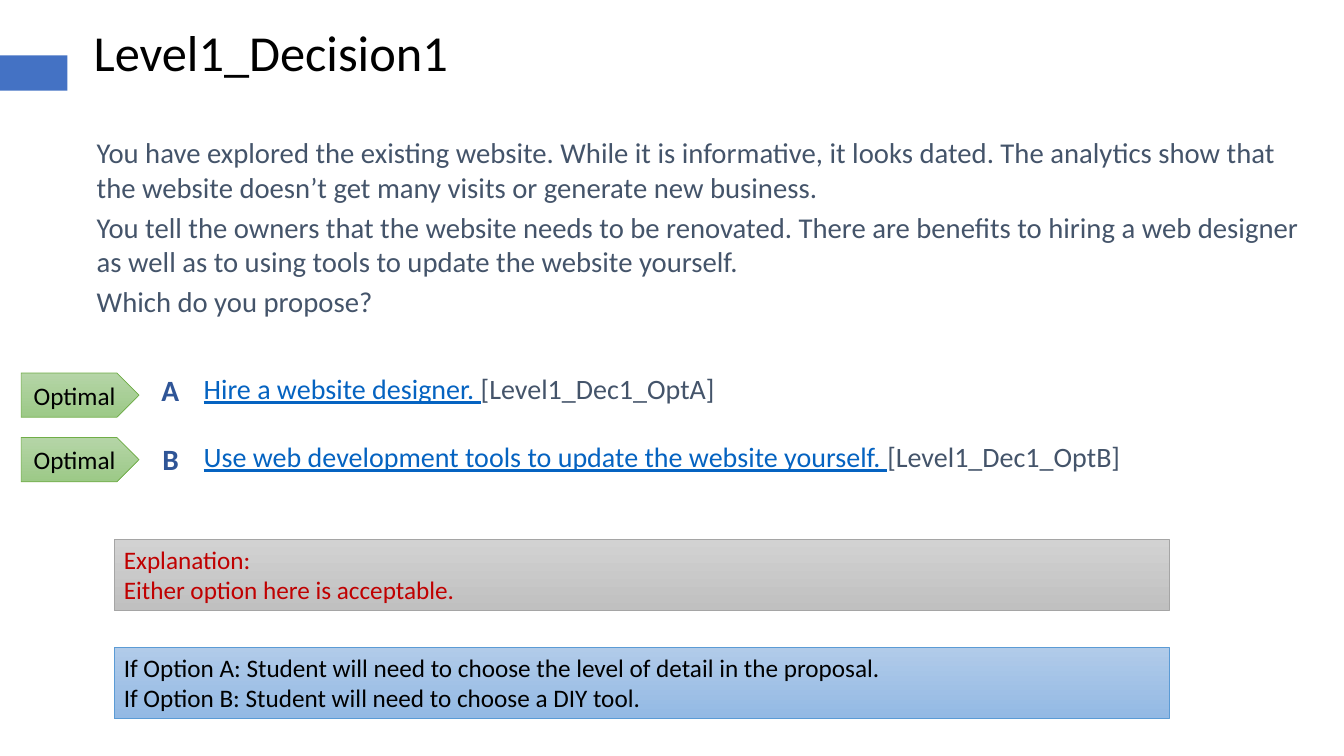
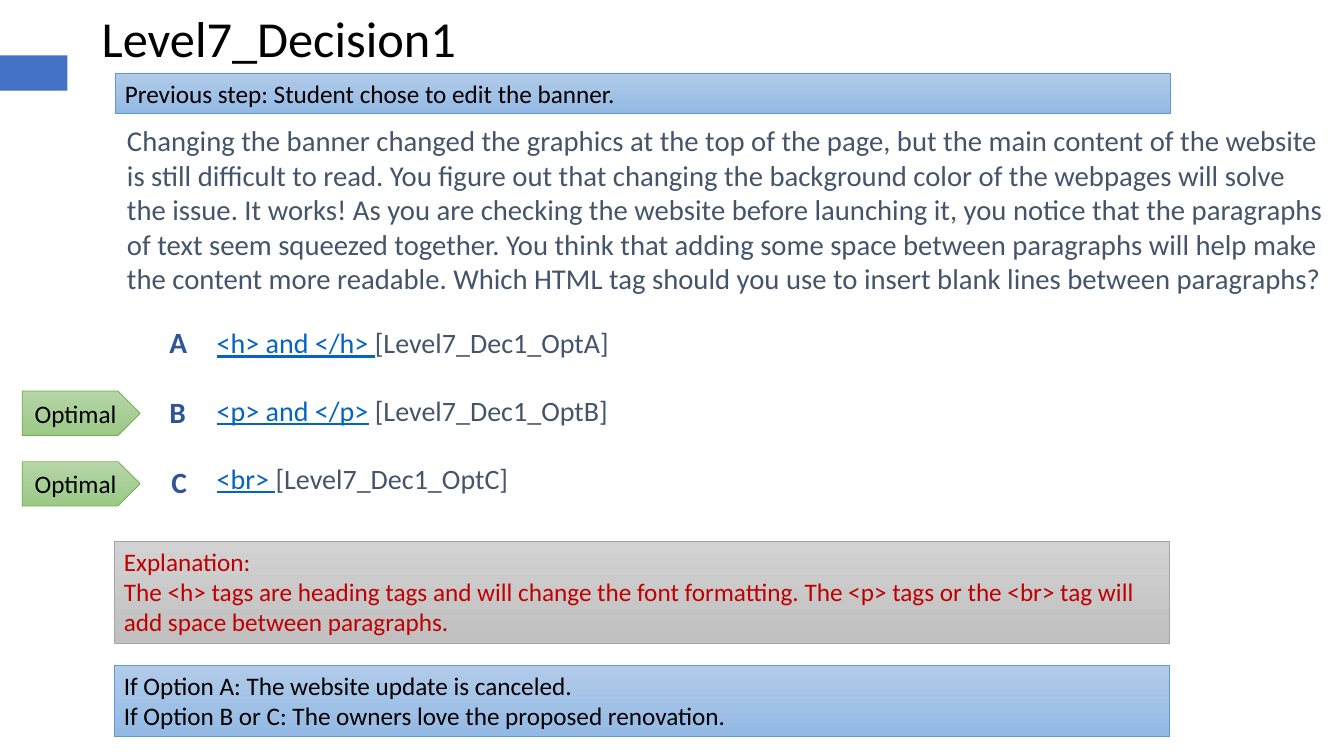
from dataclasses import dataclass
from typing import NamedTuple

from pptx import Presentation
from pptx.dml.color import RGBColor
from pptx.enum.shapes import MSO_SHAPE
from pptx.enum.text import MSO_ANCHOR, PP_ALIGN
from pptx.util import Emu, Pt

RECT, ARROW = MSO_SHAPE.RECTANGLE, MSO_SHAPE.PENTAGON
TOP, MIDDLE = MSO_ANCHOR.TOP, MSO_ANCHOR.MIDDLE
LEFT, CENTER = PP_ALIGN.LEFT, PP_ALIGN.CENTER

PX = 9144  # 100 px to the inch
FONT = "Calibri"
BLACK, RED, SLATE = "000000", "C00000", "44546A"
NAVY, LINK, BAND = "2F5597", "0563C1", "4472C4"
WIDE = (13, 7)
SLIM = (10, 5)
NOTE_W = 1047
STEP = 69


class Run(NamedTuple):
    text: str
    color: str = ""
    under: bool = False


class Style(NamedTuple):
    start: str
    end: str
    line: str


BLUE = Style("B1CBE9", "93B9E4", "5B9BD5")
GRAY = Style("D2D2D2", "C0C0C0", "A5A5A5")
GREEN = Style("B5D5A7", "9CC987", "70AD47")


class Box(NamedTuple):
    x: int
    y: int
    w: int
    h: int


@dataclass(frozen=True)
class Note:
    box: Box
    style: Style
    color: str
    lines: list[str]


@dataclass(frozen=True)
class Option:
    letter: str
    x: int
    link: str
    code: str
    tag: int | None = None  # top of the "Optimal" arrow


@dataclass(frozen=True)
class Page:
    title: str
    head: tuple[int, int]
    body: Box
    story: list[str]
    list_box: Box
    top: int
    tag_x: int
    options: list[Option]
    notes: list[Note]


PAGES = [
    Page(
        "Level1_Decision1", (83, 16), Box(83, 127, 1227, 225),
        [
            "You have explored the existing website. While it is informative, it looks dated. "
            "The analytics show that the website doesn’t get many visits or generate new business.",
            "You tell the owners that the website needs to be renovated. There are benefits to "
            "hiring a web designer as well as to using tools to update the website yourself.",
            "Which do you propose?",
        ],
        Box(189, 362, 1015, 127), 362, 21,
        [
            Option("A", 147, "Hire a website designer. ", "[Level1_Dec1_OptA]", 370),
            Option("B", 148, "Use web development tools to update the website yourself. ",
                   "[Level1_Dec1_OptB]", 434),
        ],
        [
            Note(Box(113, 642, NOTE_W, 71), BLUE, BLACK, [
                "If Option A: Student will need to choose the level of detail in the proposal.",
                "If Option B: Student will need to choose a DIY tool.",
            ]),
            Note(Box(113, 535, NOTE_W, 71), GRAY, RED, [
                "Explanation:",
                "Either option here is acceptable.",
            ]),
        ],
    ),
    Page(
        "Level7_Decision1", (91, 2), Box(113, 115, 1220, 208),
        [
            "Changing the banner changed the graphics at the top of the page, but the main content "
            "of the website is still difficult to read. You figure out that changing the background "
            "color of the webpages will solve the issue. It works! As you are checking the website "
            "before launching it, you notice that the paragraphs of text seem squeezed together. "
            "You think that adding some space between paragraphs will help make the content more "
            "readable. Which HTML tag should you use to insert blank lines between paragraphs?",
        ],
        Box(202, 316, 706, 206), 315, 22,
        [
            Option("A", 155, "<h> and </h> ", "[Level7_Dec1_OptA]"),
            Option("B", 155, "<p> and </p>", " [Level7_Dec1_OptB]", 388),
            Option("C", 157, "<br> ", "[Level7_Dec1_OptC]", 458),
        ],
        [
            Note(Box(114, 73, NOTE_W, 40), BLUE, BLACK, [
                "Previous step: Student chose to edit the banner.",
            ]),
            Note(Box(113, 660, NOTE_W, 71), BLUE, BLACK, [
                "If Option A: The website update is canceled.",
                "If Option B or C: The owners love the proposed renovation.",
            ]),
            Note(Box(113, 537, NOTE_W, 101), GRAY, RED, [
                "Explanation:",
                "The <h> tags are heading tags and will change the font formatting. "
                "The <p> tags or the <br> tag will add space between paragraphs.",
            ]),
        ],
    ),
]


def px(n: int) -> Emu:
    return Emu(n * PX)


def rgb(code: str) -> RGBColor:
    return RGBColor.from_string(code)


def place(box: Box) -> list[Emu]:
    return [px(n) for n in box]


def write(shape, lines: list[list[Run]], *, size: float, color: str = BLACK,
          bold: bool = False, gap: float = 0, pad: tuple[int, int] = SLIM,
          wrap: bool = True, align=LEFT, anchor=TOP) -> None:
    """Fill a shape with paragraphs of runs; gap is the space between them in points."""
    frame = shape.text_frame
    frame.word_wrap = wrap
    frame.vertical_anchor = anchor
    frame.margin_left = frame.margin_right = px(pad[0])
    frame.margin_top = frame.margin_bottom = px(pad[1])
    for i, line in enumerate(lines):
        para = frame.add_paragraph() if i else frame.paragraphs[0]
        para.alignment = align
        if i and gap:
            para.space_before = Pt(gap)
        for part in line:
            run = para.add_run()
            run.text = part.text
            font = run.font
            font.name, font.size, font.bold = FONT, Pt(size), bold
            font.underline = part.under
            font.color.rgb = rgb(part.color or color)


def text(slide, box: Box, lines: list[list[Run]], **look) -> None:
    write(slide.shapes.add_textbox(*place(box)), lines, **look)


def panel(slide, kind, box: Box, style: Style, lines: list[str], **look) -> None:
    """Draw an outlined shape with a top-to-bottom gradient and 18 pt text."""
    shape = slide.shapes.add_shape(kind, *place(box))
    shape.shadow.inherit = False
    shape.fill.gradient()
    shape.fill.gradient_angle = 270
    for stop, code in zip(shape.fill.gradient_stops, (style.start, style.end)):
        stop.color.rgb = rgb(code)
    shape.line.color.rgb = rgb(style.line)
    shape.line.width = Pt(0.5)
    write(shape, [[Run(line)] for line in lines], size=18, **look)


def band(slide) -> None:
    shape = slide.shapes.add_shape(RECT, *place(Box(0, 55, 67, 35)))
    shape.shadow.inherit = False
    shape.fill.solid()
    shape.fill.fore_color.rgb = rgb(BAND)
    shape.line.fill.background()


def choices(slide, page: Page) -> None:
    """Draw the answer list, its letters and the arrows at the best answers."""
    lines = [[Run(o.link, LINK, True), Run(o.code)] for o in page.options]
    text(slide, page.list_box, lines, size=20, color=SLATE, gap=24.4, pad=WIDE)
    for i, opt in enumerate(page.options):
        text(slide, Box(opt.x, page.top + i * STEP, 70, 44), [[Run(opt.letter)]],
             size=21, color=NAVY, bold=True, pad=WIDE)
        if opt.tag is not None:
            panel(slide, ARROW, Box(page.tag_x, opt.tag, 117, 44), GREEN, ["Optimal"],
                  align=CENTER, anchor=MIDDLE)


def draw(slide, page: Page) -> None:
    band(slide)
    text(slide, page.body, [[Run(line)] for line in page.story],
         size=20.5, color=SLATE, gap=4, pad=WIDE)
    text(slide, Box(*page.head, 372, 71), [[Run(page.title)]], size=36, wrap=False)
    for note in page.notes:
        panel(slide, RECT, note.box, note.style, note.lines, color=note.color)
    choices(slide, page)


def main() -> None:
    deck = Presentation()
    deck.slide_width, deck.slide_height = px(1333), px(750)
    blank = deck.slide_layouts[6]
    for page in PAGES:
        draw(deck.slides.add_slide(blank), page)
    deck.save("out.pptx")


if __name__ == "__main__":
    main()
